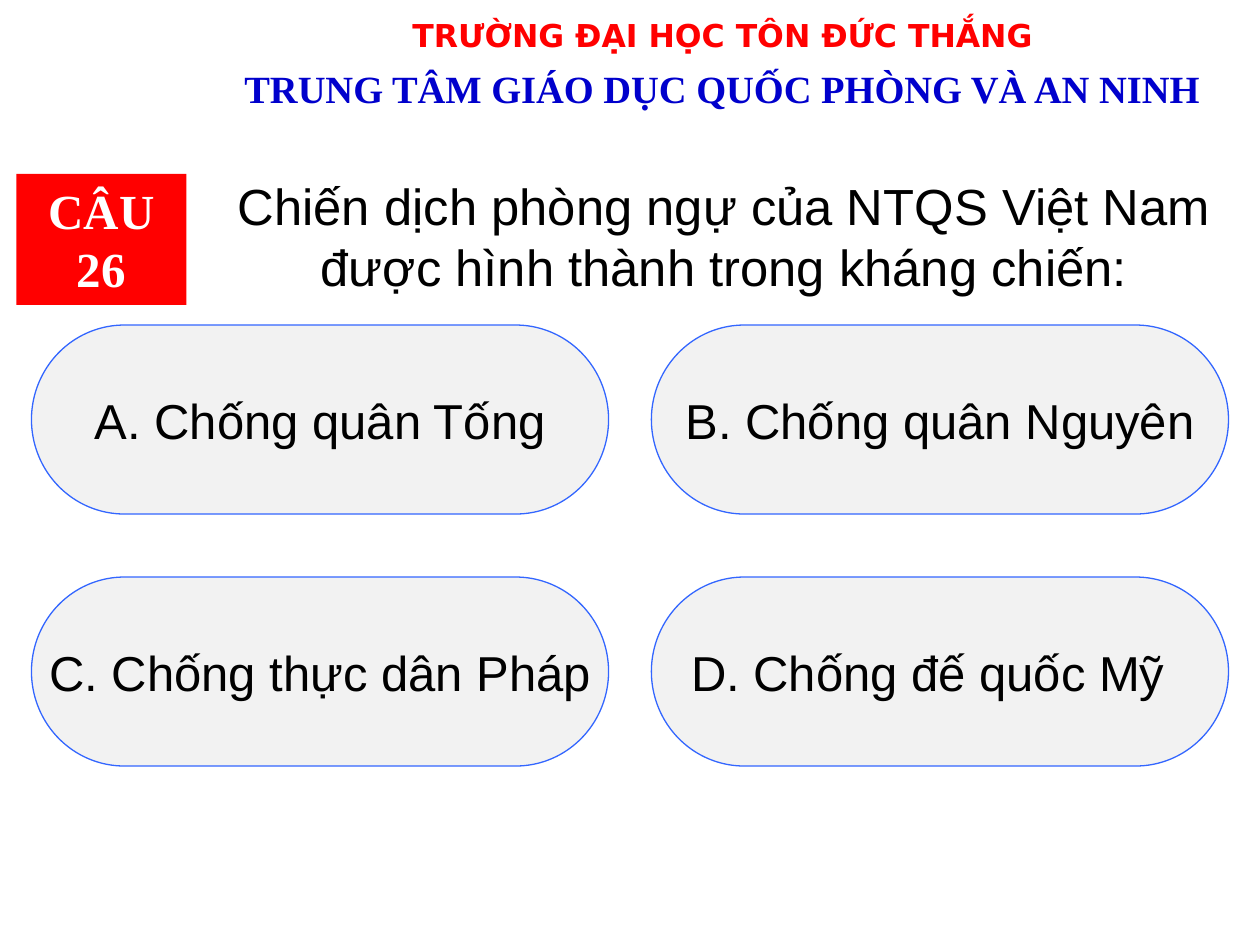
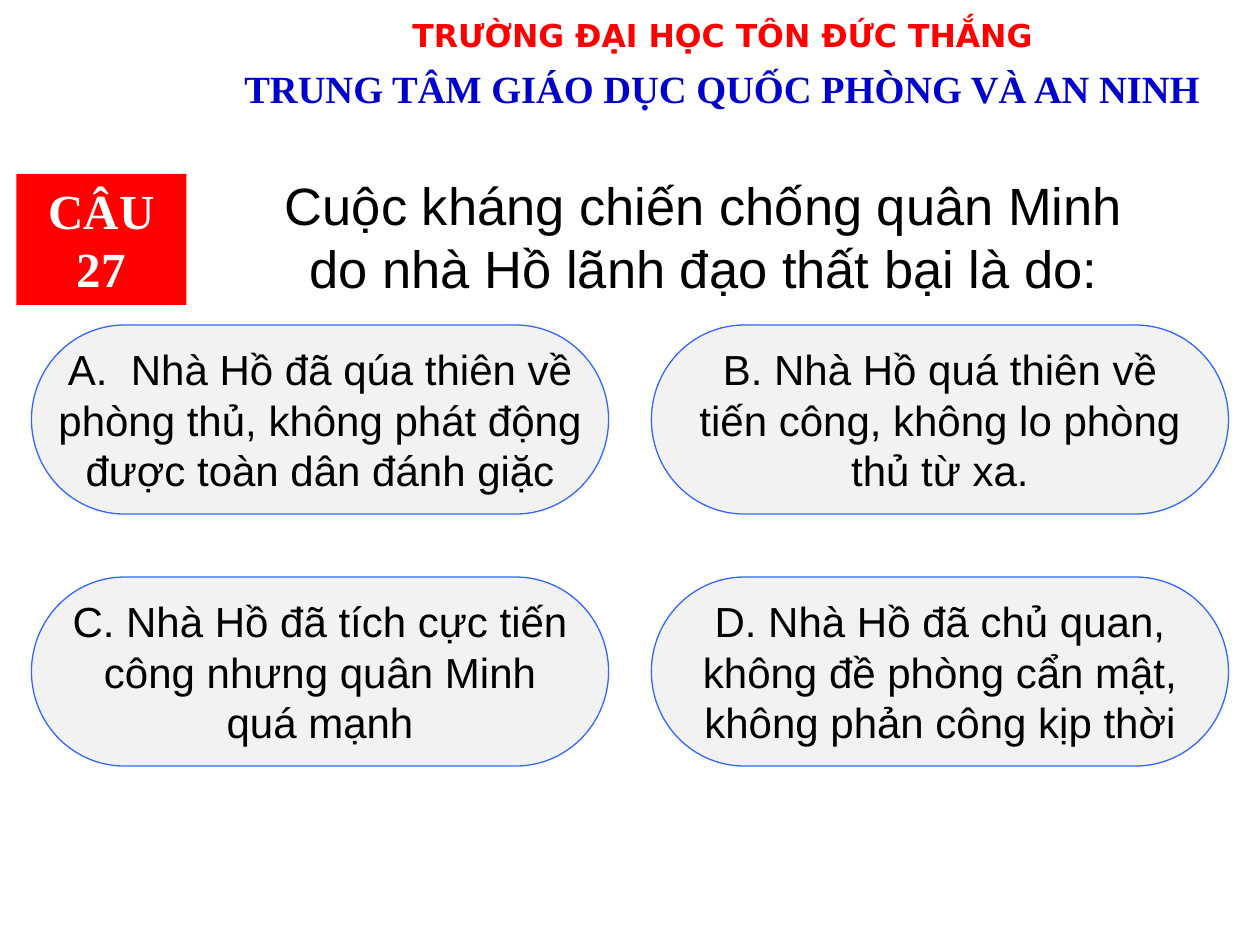
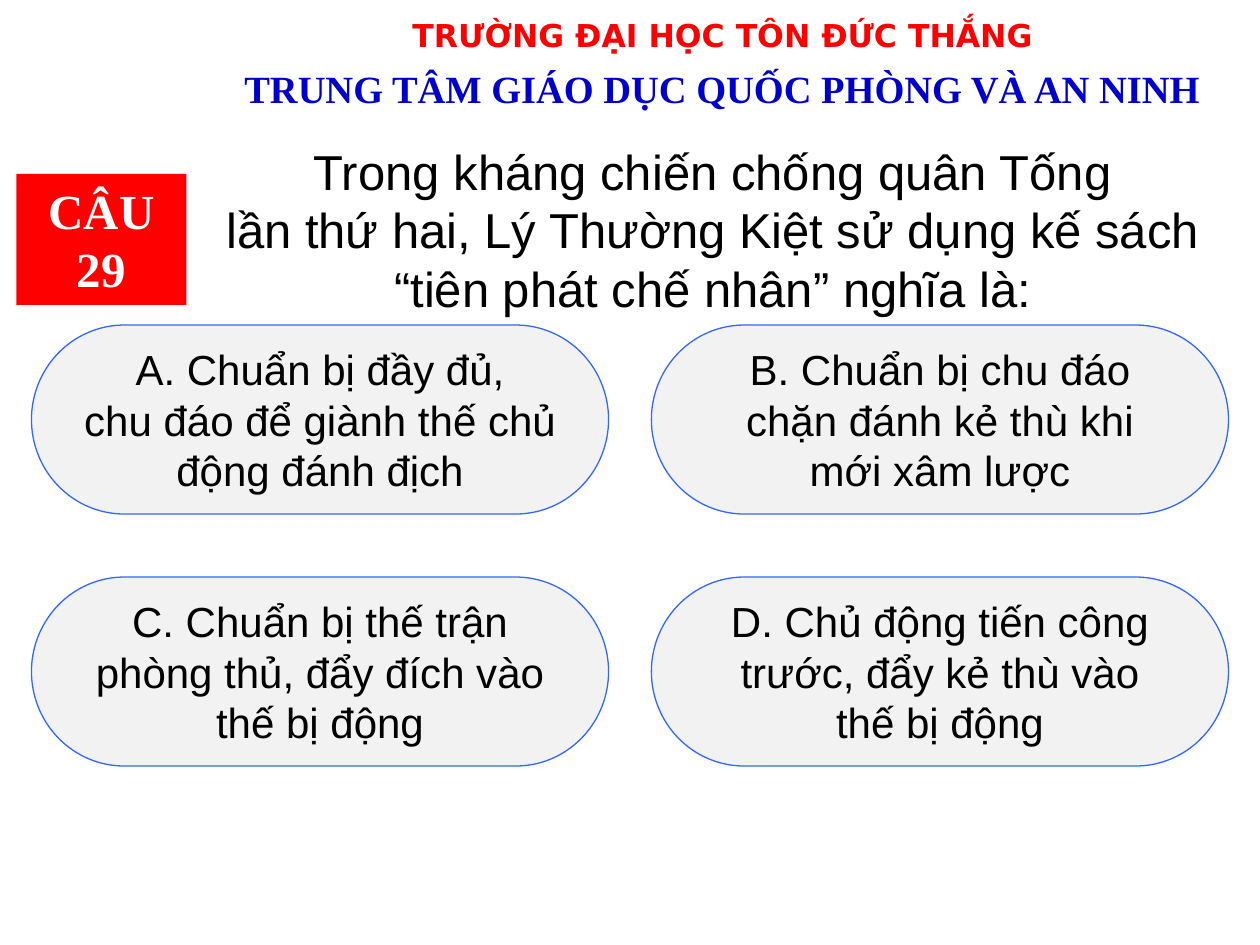
from lxml.etree import SubElement
from pptx import Presentation
from pptx.dml.color import RGBColor
from pptx.enum.shapes import MSO_SHAPE
from pptx.enum.text import MSO_ANCHOR, PP_ALIGN
from pptx.oxml.ns import qn
from pptx.util import Inches, Pt

RED, BLUE, BLACK, WHITE = "FF0000", "0000CC", "000000", "FFFFFF"
ANSWER_FILL, ANSWER_LINE = "F2F2F2", "3366FF"

HEADER = [
    ("TRƯỜNG ĐẠI HỌC TÔN ĐỨC THẮNG", (2.03, 0.08, 7.41, 0.34), 18, "DejaVu Sans", RED),
    ("TRUNG TÂM GIÁO DỤC QUỐC PHÒNG VÀ AN NINH", (1.73, 0.47, 8, 0.32), 22,
     "Times New Roman", BLUE),
]

QUIZ = [
    {
        "number": 26,
        "question": "Chiến dịch phòng ngự của NTQS Việt Nam được hình thành trong kháng chiến:",
        "at": (1.42, 1.34, 8.66, 1.07), "size": 29, "answer_size": 28,
        "answers": ["A. Chống quân Tống", "B. Chống quân Nguyên",
                    "C. Chống thực dân Pháp", "D. Chống đế quốc Mỹ"],
        "left_aligned": "D",
    },
    {
        "number": 27,
        "question": "Cuộc kháng chiến chống quân Minh do nhà Hồ lãnh đạo thất bại là do:",
        "at": (1.92, 1.32, 7.33, 1.1), "size": 30, "answer_size": 24,
        "answers": [
            "Nhà Hồ đã qúa thiên về\nphòng thủ, không phát động\nđược toàn dân đánh giặc",
            "B. Nhà Hồ quá thiên về\ntiến công, không lo phòng\nthủ từ xa.",
            "C. Nhà Hồ đã tích cực tiến\ncông nhưng quân Minh\nquá mạnh",
            "D. Nhà Hồ đã chủ quan,\nkhông đề phòng cẩn mật,\nkhông phản công kịp thời",
        ],
        "auto_lettered": "A",
    },
    {
        "number": 29,
        "question": "Trong kháng chiến chống quân Tống\n"
                    "lần thứ hai, Lý Thường Kiệt sử dụng kế sách “tiên phát chế nhân” nghĩa là:",
        "at": (1.56, 1.07, 8.19, 1.5), "size": 28, "answer_size": 24,
        "answers": [
            "A. Chuẩn bị đầy đủ,\nchu đáo để giành thế chủ\nđộng đánh địch",
            "B. Chuẩn bị chu đáo\nchặn đánh kẻ thù khi\nmới xâm lược",
            "C. Chuẩn bị thế trận\nphòng thủ, đẩy đích vào\nthế bị động",
            "D. Chủ động tiến công\ntrước, đẩy kẻ thù vào\nthế bị động",
        ],
    },
]


def write(sp, text, size=24, font="Arial", color=BLACK, bold=False,
          align=PP_ALIGN.CENTER, anchor=MSO_ANCHOR.TOP, wrap=True, lettered=False):
    """Fill a shape with text, one paragraph per line; lettered numbers the first one A."""
    tf = sp.text_frame
    tf.text = text
    tf.word_wrap = wrap
    tf.vertical_anchor = anchor
    for i, p in enumerate(tf.paragraphs):
        p.alignment = align
        if lettered:
            pPr = p._p.get_or_add_pPr()
            pPr.set("marL", str(Inches(0.5)))
            pPr.set("indent", str(Inches(-0.5)))
            if i == 0:
                SubElement(pPr, qn("a:buFont"), typeface=font)
                SubElement(pPr, qn("a:buAutoNum"), type="alphaUcPeriod")
        for r in p.runs:
            r.font.size = Pt(size)
            r.font.name = font
            r.font.bold = bold
            r.font.color.rgb = RGBColor.from_string(color)


def add_shape(s, kind, at, fill, line=None):
    sp = s.shapes.add_shape(kind, *map(Inches, at))
    sp.shadow.inherit = False
    sp.fill.solid()
    sp.fill.fore_color.rgb = RGBColor.from_string(fill)
    if line:
        sp.line.color.rgb = RGBColor.from_string(line)
        sp.line.width = Pt(0.75)
    else:
        sp.line.fill.background()
    return sp


prs = Presentation()
prs.slide_width, prs.slide_height = Inches(10), Inches(7.5)
layout = prs.slide_layouts.get_by_name("Title Only")

for quiz in QUIZ:
    s = prs.slides.add_slide(layout)
    title = s.shapes.title
    title.left, title.top, title.width, title.height = map(Inches, quiz["at"])
    write(title, quiz["question"], size=quiz["size"])

    for i, (letter, answer) in enumerate(zip("ABCD", quiz["answers"])):
        row, col = divmod(i, 2)
        sp = add_shape(s, MSO_SHAPE.FLOWCHART_TERMINATOR,
                       (0.25 + 4.92 * col, 2.58 + 2 * row, 4.58, 1.5),
                       ANSWER_FILL, ANSWER_LINE)
        left_aligned = letter == quiz.get("left_aligned")
        write(sp, answer, size=quiz["answer_size"], anchor=MSO_ANCHOR.MIDDLE, wrap=False,
              align=PP_ALIGN.LEFT if left_aligned else PP_ALIGN.CENTER,
              lettered=letter == quiz.get("auto_lettered"))

    badge = add_shape(s, MSO_SHAPE.RECTANGLE, (0.13, 1.38, 1.35, 1.04), RED)
    write(badge, f"CÂU {quiz['number']}", size=28, font="Times New Roman",
          color=WHITE, bold=True)

# Layouts cannot create text boxes, so the header is made on a slide and moved
for text, at, size, font, color in HEADER:
    box = s.shapes.add_textbox(*map(Inches, at))
    write(box, text, size=size, font=font, color=color, bold=True, wrap=False)
    layout.shapes.element.append(box.element)

prs.save("out.pptx")
